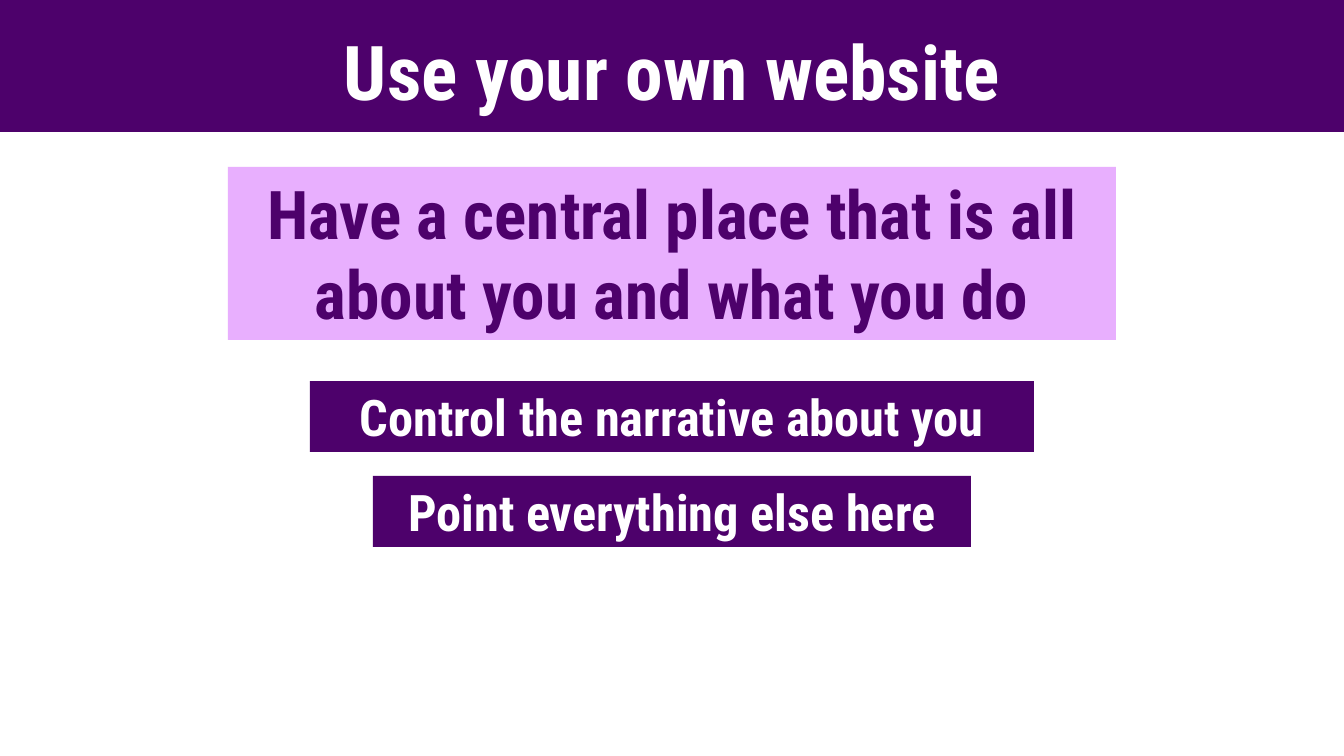
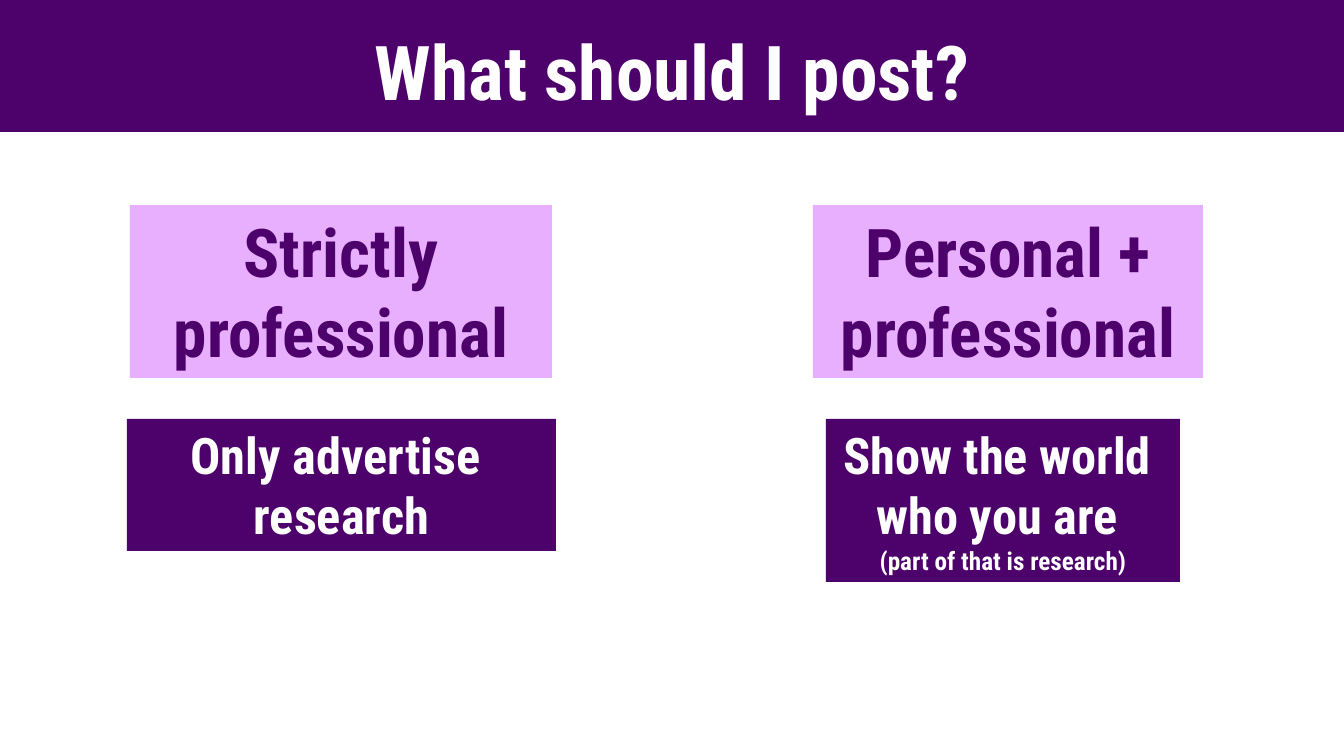
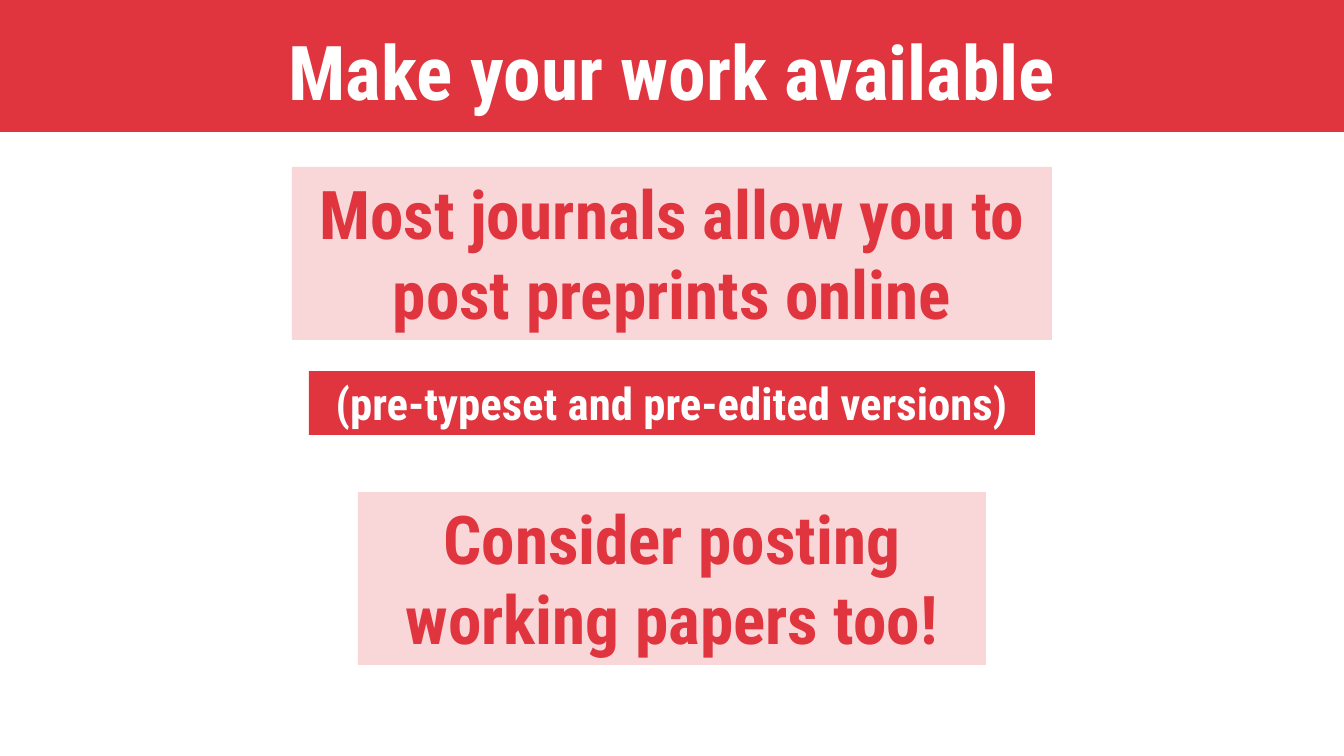
"""Build three slides of advice on sharing research online."""
from dataclasses import dataclass

from pptx import Presentation
from pptx.dml.color import RGBColor
from pptx.enum import shapes, text
from pptx.util import Emu, Pt

PAGE_WIDTH, PAGE_HEIGHT = 1344, 756
EMU_PER_PX = 12192000 / PAGE_WIDTH
MIDDLE = PAGE_WIDTH // 2
BAND_HEIGHT = 132
FONT = "Roboto Condensed"
WHITE = RGBColor(0xFF, 0xFF, 0xFF)
PURPLE = RGBColor(0x4D, 0x01, 0x6B)
LILAC = RGBColor(0xE8, 0xAF, 0xFE)
RED = RGBColor(0xE0, 0x34, 0x3E)
PINK = RGBColor(0xF9, 0xD6, 0xD8)


@dataclass(frozen=True)
class Theme:
    """Strong and pale colours of one section."""
    strong: RGBColor
    pale: RGBColor


@dataclass(frozen=True)
class Line:
    """One line of text with its size in points."""
    words: str
    size: int


@dataclass(frozen=True)
class Panel:
    """A coloured box placed by its horizontal centre."""
    center: int
    top: int
    width: int
    height: int
    lines: tuple[Line, ...]
    pale: bool = False


@dataclass(frozen=True)
class Topic:
    """One slide: its title, colours and panels."""
    title: str
    theme: Theme
    panels: tuple[Panel, ...]


def px(length: int) -> Emu:
    """Turn pixels into EMU."""
    return Emu(round(length * EMU_PER_PX))


def headline(center: int, top: int, width: int, words: str) -> Panel:
    """Make a pale panel holding two wrapped lines."""
    return Panel(center, top, width, 173, (Line(words, 48),), pale=True)


def draw_panel(page, panel: Panel, theme: Theme):
    """Draw a panel and return its text frame."""
    box = page.shapes.add_shape(
        shapes.MSO_SHAPE.RECTANGLE, px(panel.center - panel.width // 2),
        px(panel.top), px(panel.width), px(panel.height))
    box.shadow.inherit = False
    box.fill.solid()
    box.fill.fore_color.rgb = theme.pale if panel.pale else theme.strong
    box.line.fill.background()
    frame = box.text_frame
    frame.word_wrap = True
    frame.vertical_anchor = text.MSO_ANCHOR.TOP
    frame.auto_size = text.MSO_AUTO_SIZE.SHAPE_TO_FIT_TEXT
    para = frame.paragraphs[0]
    para.alignment = text.PP_ALIGN.CENTER
    for index, line in enumerate(panel.lines):
        if index:
            para.add_line_break()
        span = para.add_run()
        span.text = line.words
        span.font.name = FONT
        span.font.size = Pt(line.size)
        span.font.bold = True
        span.font.color.rgb = theme.strong if panel.pale else WHITE
    return frame


def draw_title(page, title: str, theme: Theme) -> None:
    """Draw the title band across the top."""
    band = Panel(MIDDLE, 0, PAGE_WIDTH, BAND_HEIGHT, (Line(title, 54),))
    frame = draw_panel(page, band, theme)
    frame.auto_size = text.MSO_AUTO_SIZE.NONE
    frame.vertical_anchor = text.MSO_ANCHOR.MIDDLE
    frame.paragraphs[0].line_spacing = 1.1


VIOLET_THEME = Theme(PURPLE, LILAC)
RED_THEME = Theme(RED, PINK)

TOPICS = (
    Topic("Use your own website", VIOLET_THEME, (
        headline(MIDDLE, 167, 888,
                 "Have a central place that is all about you and what you do"),
        Panel(MIDDLE, 381, 724, 71,
              (Line("Control the narrative about you", 36),)),
        Panel(MIDDLE, 476, 598, 71,
              (Line("Point everything else here", 36),)),
    )),
    Topic("What should I post?", VIOLET_THEME, (
        headline(341, 205, 422, "Strictly professional"),
        headline(1008, 205, 390, "Personal + professional"),
        Panel(341, 419, 429, 132,
              (Line("Only advertise ", 36), Line("research", 36))),
        Panel(1003, 419, 354, 163,
              (Line("Show the world ", 36), Line("who you are ", 36),
               Line("(part of that is research)", 18))),
    )),
    Topic("Make your work available", RED_THEME, (
        headline(MIDDLE, 167, 760,
                 "Most journals allow you to post preprints online"),
        Panel(MIDDLE, 371, 726, 64,
              (Line("(pre-typeset and pre-edited versions)", 32),)),
        headline(MIDDLE, 492, 628, "Consider posting working papers too!"),
    )),
)


def main() -> None:
    """Draw every topic and save the deck."""
    deck = Presentation()
    deck.slide_width, deck.slide_height = px(PAGE_WIDTH), px(PAGE_HEIGHT)
    for topic in TOPICS:
        page = deck.slides.add_slide(deck.slide_layouts[6])
        draw_title(page, topic.title, topic.theme)
        for panel in topic.panels:
            draw_panel(page, panel, topic.theme)
    deck.save("out.pptx")


if __name__ == "__main__":
    main()
